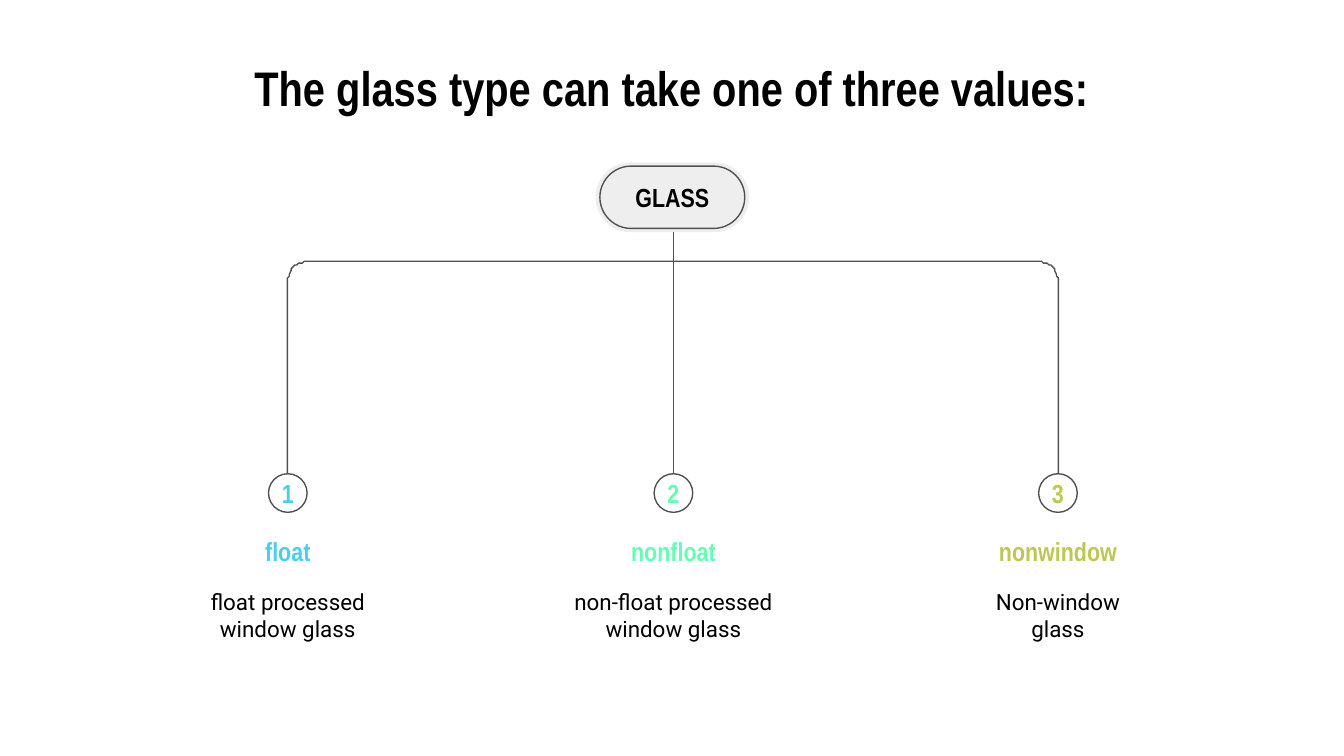
from math import cos, pi, sin

from lxml.etree import SubElement
from pptx import Presentation
from pptx.dml.color import RGBColor
from pptx.enum.shapes import MSO_CONNECTOR, MSO_SHAPE
from pptx.enum.text import MSO_ANCHOR, PP_ALIGN
from pptx.oxml.ns import qn
from pptx.util import Pt

BLACK = RGBColor(0x00, 0x00, 0x00)
GRAY = RGBColor(0x50, 0x50, 0x50)
PALE = RGBColor(0xEE, 0xEE, 0xEE)
BLUE = RGBColor(0x49, 0xD0, 0xE9)
GREEN = RGBColor(0x63, 0xFF, 0xB2)
OLIVE = RGBColor(0xBD, 0xC7, 0x54)
HEADING_FONT = "Arial Narrow"
BODY_FONT = "Roboto"


def write(box, text, size=14, font=HEADING_FONT, color=BLACK, bold=True,
          anchor=MSO_ANCHOR.MIDDLE, wrap=True, side=3.6, edge=7.2):
    """Put one centred paragraph in a shape; side and edge are its insets."""
    frame = box.text_frame
    frame.word_wrap = wrap
    frame.vertical_anchor = anchor
    frame.margin_left = frame.margin_right = Pt(side)
    frame.margin_top = frame.margin_bottom = Pt(edge)
    para = frame.paragraphs[0]
    para.alignment = PP_ALIGN.CENTER
    span = para.add_run()
    span.text = text
    span.font.size = Pt(size)
    span.font.name = font
    span.font.bold = bold
    span.font.color.rgb = color


def style(shape, fill=None, line=None):
    shape.shadow.inherit = False
    if fill is None:
        shape.fill.background()
    else:
        shape.fill.solid()
        shape.fill.fore_color.rgb = fill
    if line is None:
        shape.line.fill.background()
    else:
        shape.line.color.rgb = line
        shape.line.width = Pt(0.75)


deck = Presentation()
deck.slide_width, deck.slide_height = Pt(720), Pt(405)
page = deck.slides.add_slide(deck.slide_layouts[6])

title = page.shapes.add_textbox(Pt(36), Pt(24), Pt(648), Pt(45))
write(title, "The glass type can take one of three values:", size=26,
      anchor=MSO_ANCHOR.TOP, side=7.2)

# Bracket from the first to the last branch, with rounded upper corners
left, middle, right = 154.2, 360.8, 566.8
bar_top, circle_top, radius = 140.4, 253.8, 10
steps = [i * pi / 24 for i in range(13)]
points = [(left + radius * (1 - cos(a)), bar_top + radius * (1 - sin(a)))
          for a in steps]
points += [(left + right - x, y) for x, y in reversed(points)]
points.append((right, circle_top))
outline = page.shapes.build_freeform(left, circle_top, scale=Pt(1))
outline.add_line_segments(points, close=False)
style(outline.convert_to_shape(), line=GRAY)

# Root node: pale pill with an outlined pill inside
for width, height, fill, line in ((82.4, 37.4, PALE, None),
                                  (77.6, 33.4, None, GRAY)):
    pill = page.shapes.add_shape(
        MSO_SHAPE.ROUNDED_RECTANGLE, Pt(360.2 - width / 2),
        Pt(105.7 - height / 2), Pt(width), Pt(height))
    pill.adjustments[0] = 0.5
    style(pill, fill, line)
    if fill is not None:
        write(pill, "GLASS", wrap=False)

stem = page.shapes.add_connector(MSO_CONNECTOR.STRAIGHT, Pt(middle), Pt(124.4),
                                 Pt(middle), Pt(circle_top))
stem.line.color.rgb = GRAY
stem.line.width = Pt(0.75)
SubElement(stem.element.spPr, qn("a:effectLst"))

branches = [
    (left, BLUE, "float", "float processed window glass", 100.8),
    (middle, GREEN, "nonfloat", "non-float processed window glass", 120.2),
    (right, OLIVE, "nonwindow", "Non-window glass", 100.8),
]
diameter, label_width = 20.7, 71
for number, (center, color, label, detail, detail_width) in enumerate(branches, 1):
    circle = page.shapes.add_shape(
        MSO_SHAPE.OVAL, Pt(center - diameter / 2), Pt(circle_top),
        Pt(diameter), Pt(diameter))
    style(circle, line=GRAY)
    write(circle, str(number), color=color, wrap=False, side=0, edge=0)

    name = page.shapes.add_textbox(Pt(center - label_width / 2), Pt(280),
                                   Pt(label_width), Pt(30.2))
    write(name, label, color=color)

    note = page.shapes.add_textbox(Pt(center - detail_width / 2), Pt(306),
                                   Pt(detail_width), Pt(46.8))
    write(note, detail, size=12, font=BODY_FONT, bold=False)

deck.save("out.pptx")
